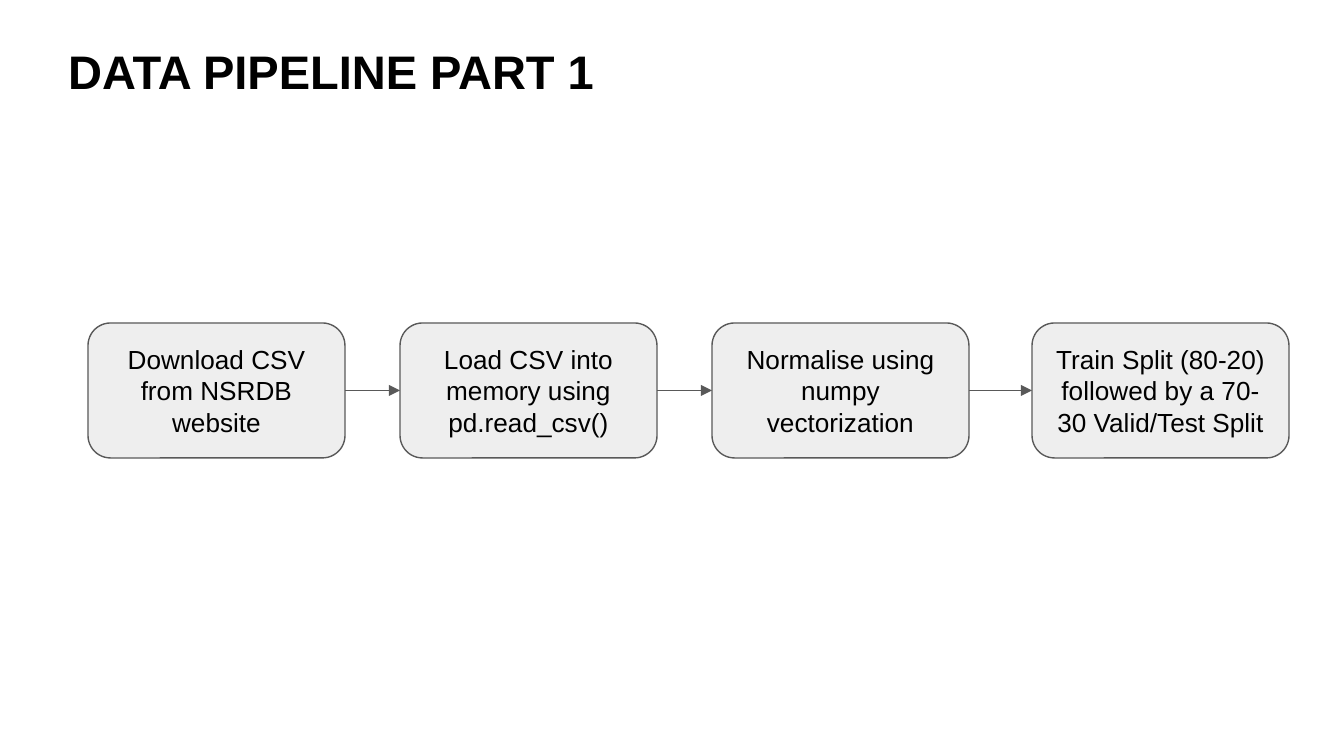
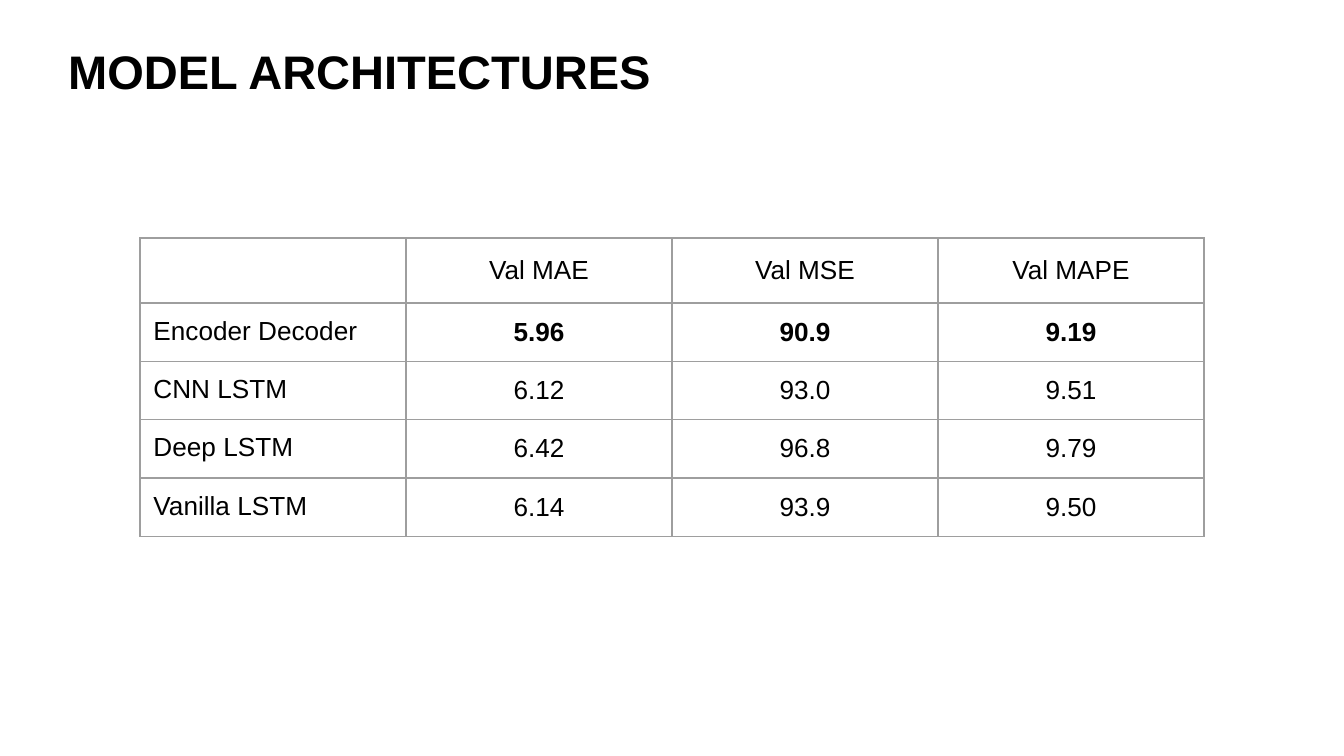
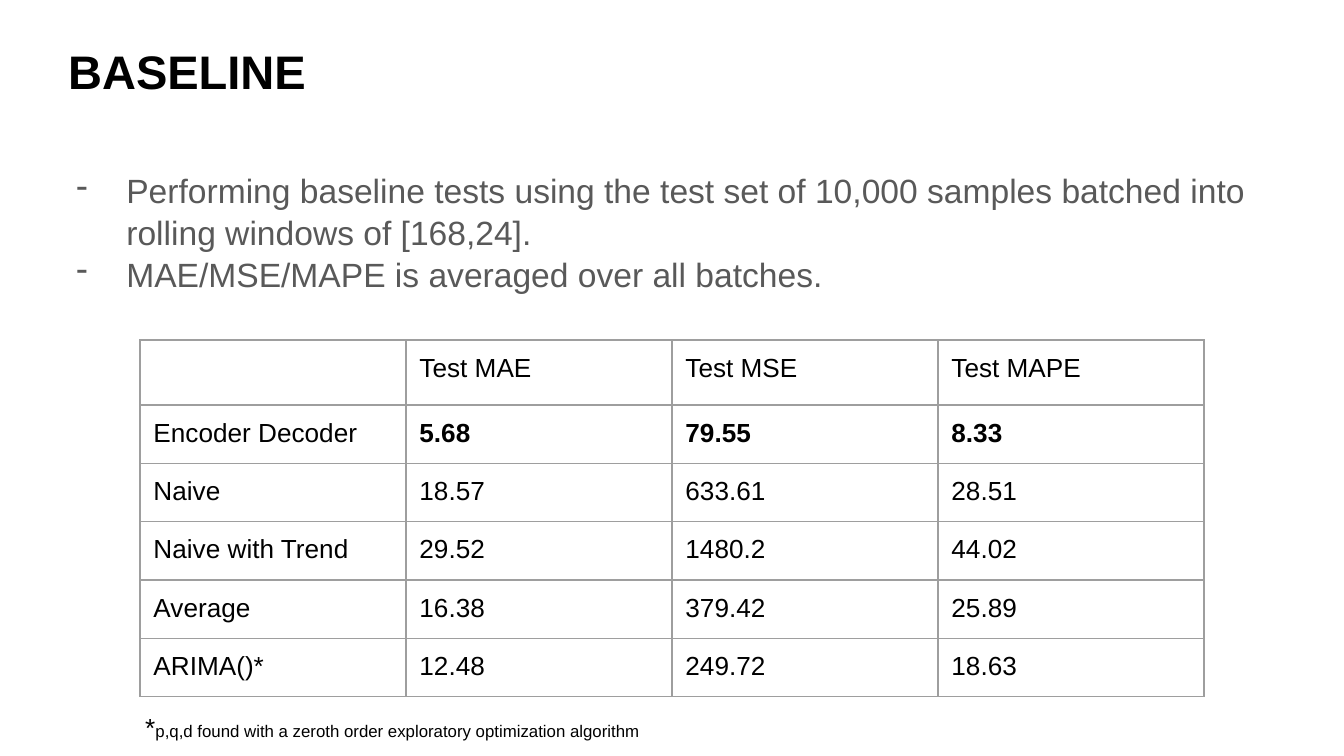
from itertools import pairwise

from lxml.etree import SubElement
from pptx import Presentation
from pptx.dml.color import RGBColor
from pptx.enum.shapes import MSO_CONNECTOR, MSO_SHAPE
from pptx.enum.text import MSO_ANCHOR as Anchor, PP_ALIGN as Align
from pptx.oxml.ns import qn
from pptx.util import Pt

PX = 914400 / 134.4
INSET = round(13.44 * PX)
FONT = "Arial"
BLACK = RGBColor(0x00, 0x00, 0x00)
GRAY = RGBColor(0x59, 0x59, 0x59)
LIGHT = RGBColor(0xEE, 0xEE, 0xEE)
BORDER = RGBColor(0x9E, 0x9E, 0x9E)


def px(*lengths):
    """Turn pixel lengths into EMU."""
    return [round(length * PX) for length in lengths]


def write(frame, text, size, color=BLACK, bold=False, align=Align.LEFT):
    """Fill a text frame, one paragraph for each line of text."""
    frame.word_wrap = True
    frame.margin_left = frame.margin_right = INSET
    frame.margin_top = frame.margin_bottom = INSET
    frame.text = text
    for paragraph in frame.paragraphs:
        paragraph.alignment = align
        font = paragraph.font
        font.name, font.size, font.bold = FONT, Pt(size), bold
        font.color.rgb = color


prs = Presentation()
prs.slide_width, prs.slide_height = px(1344, 756)

# Titles
slides = []
for title in ("DATA PIPELINE PART 1", "MODEL ARCHITECTURES", "BASELINE"):
    slide = prs.slides.add_slide(prs.slide_layouts[6])
    heading = slide.shapes.add_textbox(*px(55, 23, 1253, 85)).text_frame
    write(heading, title, 25.2, bold=True)
    heading.paragraphs[0].line_spacing = 1.1
    slides.append(slide)
pipeline, architectures, baseline = slides

# Pipeline steps and the arrows between them
steps = []
for left, label in (
    (88, "Download CSV from NSRDB website"),
    (400, "Load CSV into memory using pd.read_csv()"),
    (712, "Normalise using numpy vectorization"),
    (1032, "Train Split (80-20) followed by a 70-30 Valid/Test Split"),
):
    step = pipeline.shapes.add_shape(
        MSO_SHAPE.ROUNDED_RECTANGLE, *px(left, 323, 257, 135))
    step.shadow.inherit = False
    step.fill.solid()
    step.fill.fore_color.rgb = LIGHT
    step.line.color.rgb = GRAY
    step.line.width = Pt(0.75)
    step.text_frame.vertical_anchor = Anchor.MIDDLE
    write(step.text_frame, label, 14, align=Align.CENTER)
    steps.append(step)

RIGHT_SITE, LEFT_SITE = 3, 1
for source, target in pairwise(steps):
    arrow = pipeline.shapes.add_connector(MSO_CONNECTOR.STRAIGHT, 0, 0, 0, 0)
    arrow.begin_connect(source, RIGHT_SITE)
    arrow.end_connect(target, LEFT_SITE)
    arrow.line.color.rgb = GRAY
    arrow.line.width = Pt(0.75)
    SubElement(arrow.line._get_or_add_ln(), qn("a:tailEnd"), type="triangle")
    SubElement(arrow._element.spPr, qn("a:effectLst"))

# Baseline notes
notes = baseline.shapes.add_textbox(*px(46, 155, 1253, 199)).text_frame
write(notes, "Performing baseline tests using the test set of 10,000 samples "
      "batched into rolling windows of [168,24].\n"
      "MAE/MSE/MAPE is averaged over all batches.", 18, GRAY)
hanging, = px(50)
for note in notes.paragraphs:
    note.line_spacing = 1.04
    properties = note._p.get_or_add_pPr()
    properties.set("marL", str(round(67.2 * PX)))
    properties.set("indent", str(-hanging))
    dash = properties.makeelement(qn("a:buChar"), {"char": "-"})
    properties.find(qn("a:defRPr")).addprevious(dash)

# Score tables: the best model stands in the first row under the header
val_scores = (
    ("", "Val MAE", "Val MSE", "Val MAPE"),
    ("Encoder Decoder", "5.96", "90.9", "9.19"),
    ("CNN LSTM", "6.12", "93.0", "9.51"),
    ("Deep LSTM", "6.42", "96.8", "9.79"),
    ("Vanilla LSTM", "6.14", "93.9", "9.50"),
)
test_scores = (
    ("", "Test MAE", "Test MSE", "Test MAPE"),
    ("Encoder Decoder", "5.68", "79.55", "8.33"),
    ("Naive", "18.57", "633.61", "28.51"),
    ("Naive with Trend", "29.52", "1480.2", "44.02"),
    ("Average", "16.38", "379.42", "25.89"),
    ("ARIMA()*", "12.48", "249.72", "18.63"),
)
HEADER_HEIGHT, ROW_HEIGHT = px(65, 56)
for slide, top, scores, align, anchor in (
    (architectures, 238, val_scores, Align.CENTER, Anchor.MIDDLE),
    (baseline, 340, test_scores, Align.LEFT, Anchor.TOP),
):
    height = 65 + 56 * (len(scores) - 1)
    table = slide.shapes.add_table(
        len(scores), 4, *px(140, top, 1064, height)).table
    table.first_row = table.horz_banding = False
    for r, row in enumerate(scores):
        table.rows[r].height = ROW_HEIGHT if r else HEADER_HEIGHT
        for c, text in enumerate(row):
            cell = table.cell(r, c)
            write(cell.text_frame, text, 14, bold=r == 1 and c > 0,
                  align=align if c else Align.LEFT)
            cell.margin_left = cell.margin_right = INSET
            cell.margin_top = cell.margin_bottom = INSET
            cell.vertical_anchor = anchor if c else Anchor.TOP
            borders = cell._tc.get_or_add_tcPr()
            for side in ("lnL", "lnR", "lnT", "lnB"):
                edge = SubElement(borders, qn(f"a:{side}"), w=str(Pt(0.75)))
                paint = SubElement(edge, qn("a:solidFill"))
                SubElement(paint, qn("a:srgbClr"), val=str(BORDER))
            cell.fill.background()

# Footnote to ARIMA
footnote = baseline.shapes.add_textbox(*px(132, 698, 985, 59)).text_frame
write(footnote, "*", 14)
remark = footnote.paragraphs[0].add_run()
remark.text = "p,q,d found with a zeroth order exploratory optimization algorithm"
remark.font.size = Pt(9)

prs.save("out.pptx")
